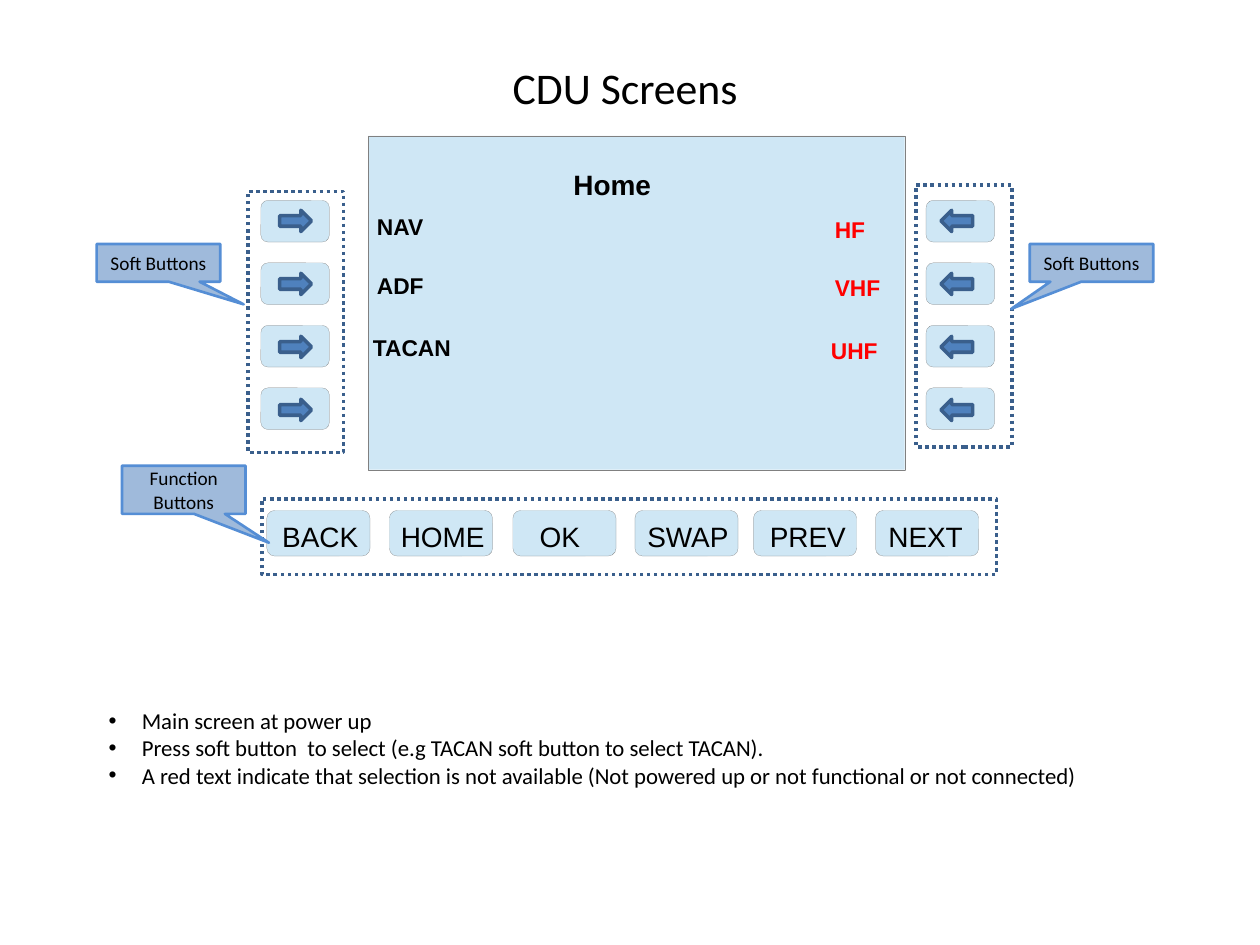
import pptx
import pptx.util
import pptx.dml.color
import pptx.enum.dml
import pptx.enum.shapes
import pptx.enum.text
import pptx.oxml
import pptx.oxml.ns
import lxml.etree

Cm = pptx.util.Cm
Pt = pptx.util.Pt
RGB = pptx.dml.color.RGBColor.from_string
SHAPE = pptx.enum.shapes.MSO_SHAPE
ALIGN = pptx.enum.text.PP_ALIGN
ANCHOR = pptx.enum.text.MSO_ANCHOR
FIT = pptx.enum.text.MSO_AUTO_SIZE
qn = pptx.oxml.ns.qn

hues = {"black": "000000", "red": "FF0000", "pale": "CFE7F5", "grey": "808080",
        "blue": "4F81BD", "navy": "3A5F8C", "sky": "558ED5"}
thin = 0.1

deck = pptx.Presentation()
deck.slide_width, deck.slide_height = Cm(25.4), Cm(19.05)
slide = deck.slides.add_slide(deck.slide_layouts[6])
add_box = slide.shapes.add_textbox


def draw(kind, box, fill, line, width):
    """Add a preset shape; box is left, top, width, height in cm."""
    shape = slide.shapes.add_shape(kind, *map(Cm, box))
    shape.shadow.inherit = False
    if fill:
        shape.fill.solid()
        shape.fill.fore_color.rgb = RGB(hues[fill])
    else:
        shape.fill.background()
    shape.line.color.rgb = RGB(hues[line])
    shape.line.width = Pt(width)
    return shape


def write(shape, lines, size, face="Arial", hue="black", bold=False,
          align=ALIGN.LEFT, wrap=False, pad=0.11):
    frame = shape.text_frame
    frame.word_wrap = wrap
    frame.auto_size = FIT.NONE if wrap else FIT.SHAPE_TO_FIT_TEXT
    frame.margin_left = frame.margin_right = Cm(0.23)
    frame.margin_top = frame.margin_bottom = Cm(pad)
    frame.text = "\n".join(lines)
    for para in frame.paragraphs:
        para.alignment = align
        para.font.name = face
        para.font.size = Pt(size)
        para.font.bold = bold
        para.font.color.rgb = RGB(hues[hue])
    return frame


title = add_box(Cm(1.17), Cm(1.09), Cm(22.86), Cm(2.39))
write(title, ["CDU Screens"], 25, "Calibri", align=ALIGN.CENTER, wrap=True, pad=0.13)

# Display with its menu
draw(SHAPE.RECTANGLE, (7.42, 2.74, 10.82, 6.73), "pale", "grey", thin)
home = add_box(Cm(11.33), Cm(3.26), Cm(2.03), Cm(0.89))
write(home, ["Home"], 16, bold=True)
menu = [("NAV", 7.37, 4.18, 1.52, "black"), ("ADF", 7.37, 5.36, 1.45, "black"),
        ("TACAN", 7.29, 6.62, 2.05, "black"), ("HF", 16.6, 4.24, 1.2, "red"),
        ("VHF", 16.6, 5.41, 1.45, "red"), ("UHF", 16.52, 6.68, 1.45, "red")]
for word, left, top, width, hue in menu:
    label = add_box(Cm(left), Cm(top), Cm(width), Cm(0.76))
    write(label, [word], 13, hue=hue, bold=True)

# Soft buttons on both sides
sides = [(5.26, 5.64, SHAPE.RIGHT_ARROW), (18.67, 18.97, SHAPE.LEFT_ARROW)]
for left, tip, kind in sides:
    for row in range(4):
        key = draw(SHAPE.ROUNDED_RECTANGLE, (left, 4.04 + 1.26 * row, 1.38, 0.84),
                   "pale", "grey", thin)
        key.adjustments[0] = 0.17
        draw(kind, (tip, 4.24 + 1.27 * row, 0.64, 0.43), "blue", "navy", 2)

# Function buttons: word, key left, label left, label width
keys = [("BACK", 5.38, 5.46, 2.05), ("HOME", 7.85, 7.85, 2.2),
        ("OK", 10.34, 10.65, 1.4), ("SWAP", 12.8, 12.82, 2.15),
        ("PREV", 15.19, 15.29, 2.05), ("NEXT", 17.65, 17.68, 2.0)]
for word, left, start, width in keys:
    key = draw(SHAPE.ROUNDED_RECTANGLE, (left, 10.29, 2.08, 0.92), "pale", "grey", thin)
    key.adjustments[0] = 0.17
    label = add_box(Cm(start), Cm(10.37), Cm(width), Cm(0.89))
    write(label, [word], 16)

# Dotted frames round each group
for box in [(5, 3.86, 1.93, 5.26), (18.47, 3.73, 1.93, 5.28), (5.28, 10.06, 14.81, 1.52)]:
    frame = draw(SHAPE.RECTANGLE, box, None, "navy", 2)
    frame.line.dash_style = pptx.enum.dml.MSO_LINE.ROUND_DOT

# Callouts
notes = [("Soft Buttons", (1.95, 4.92, 2.49, 0.76), (0.69, 1.1)),
         ("Function Buttons", (2.46, 9.39, 2.49, 0.97), (0.69, 1.1)),
         ("Soft Buttons", (20.76, 4.92, 2.49, 0.76), (-0.65, 1.22))]
for word, box, tip in notes:
    note = draw(SHAPE.RECTANGULAR_CALLOUT, box, "blue", "sky", 1.5)
    note.adjustments[0], note.adjustments[1] = tip
    tint = note.fill._xPr.find(qn("a:solidFill"))[0]
    lxml.etree.SubElement(tint, qn("a:alpha")).set("val", "54000")
    body = write(note, [word], 11, "Calibri", align=ALIGN.CENTER, wrap=True, pad=0.13)
    body.vertical_anchor = ANCHOR.MIDDLE

# Remarks
facts = ["Main screen at power up",
         "Press soft button  to select (e.g TACAN soft button to select TACAN).",
         "A red text indicate that selection is not available "
         "(Not powered up or not functional or not connected)"]
area = add_box(Cm(1.96), Cm(14.12), Cm(20.42), Cm(3.02))
for para in write(area, facts, 13, "Calibri", wrap=True, pad=0.13).paragraphs:
    props = para._p.get_or_add_pPr()
    props.set("marL", str(Cm(0.67)))
    props.set("indent", str(-Cm(0.67)))
    for tag, key, value in [("a:buFont", "typeface", "Arial"), ("a:buChar", "char", "•")]:
        dot = pptx.oxml.xmlchemy.OxmlElement(tag)
        dot.set(key, value)
        props.insert_element_before(dot, "a:tabLst", "a:defRPr", "a:extLst")

deck.save("out.pptx")
